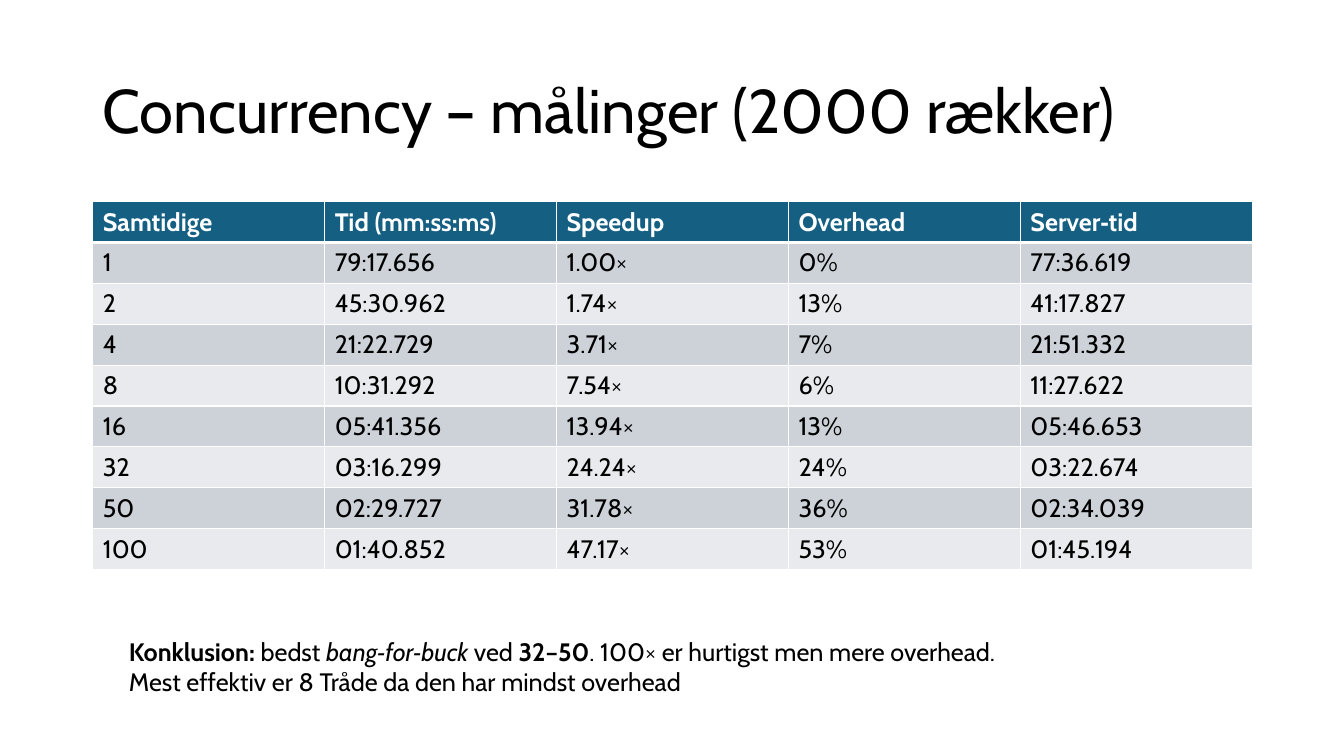
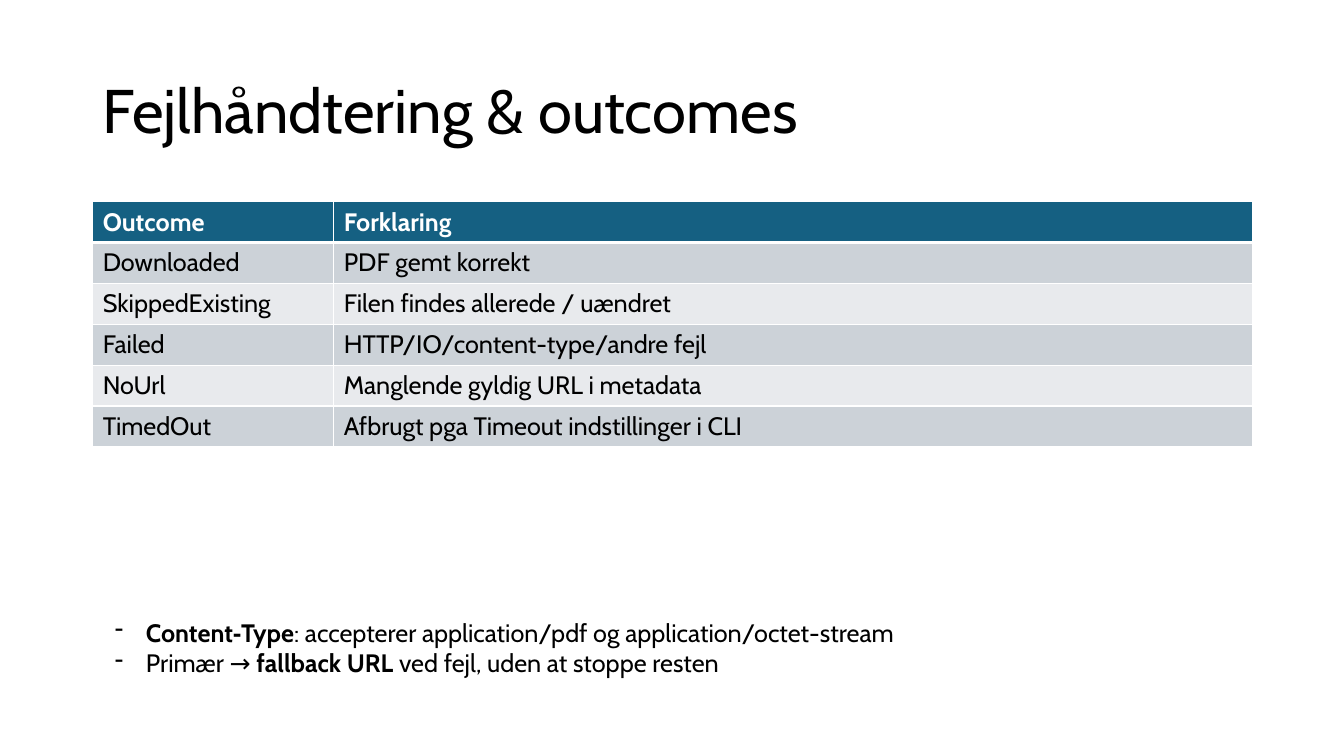
import pptx
import pptx.dml.color
import pptx.enum.text
import pptx.oxml.ns
import pptx.util
import lxml.etree

Inches = pptx.util.Inches
Pt = pptx.util.Pt
RGBColor = pptx.dml.color.RGBColor
qn = pptx.oxml.ns.qn

BLACK = RGBColor(0x00, 0x00, 0x00)
WHITE = RGBColor(0xFF, 0xFF, 0xFF)
HEADER_BLUE = RGBColor(0x15, 0x60, 0x82)
ROW_FILLS = (RGBColor(0xCC, 0xD2, 0xD8), RGBColor(0xE8, 0xEA, 0xED))

MEASUREMENTS = [
    ("Samtidige", "Tid (mm:ss:ms)", "Speedup", "Overhead", "Server‑tid"),
    ("1", "79:17.656", "1.00×", "0%", "77:36.619"),
    ("2", "45:30.962", "1.74×", "13%", "41:17.827"),
    ("4", "21:22.729", "3.71×", "7%", "21:51.332"),
    ("8", "10:31.292", "7.54×", "6%", "11:27.622"),
    ("16", "05:41.356", "13.94×", "13%", "05:46.653"),
    ("32", "03:16.299", "24.24×", "24%", "03:22.674"),
    ("50", "02:29.727", "31.78×", "36%", "02:34.039"),
    ("100", "01:40.852", "47.17×", "53%", "01:45.194"),
]
CONCLUSION = [
    [
        ("Konklusion: ", "bold"),
        ("bedst ", ""),
        ("bang‑for‑buck ", "italic"),
        ("ved ", ""),
        ("32–50", "bold"),
        (". 100× er hurtigst men mere overhead.", ""),
    ],
    [("Mest effektiv er 8 Tråde da den har mindst overhead", "")],
]
OUTCOMES = [
    ("Outcome", "Forklaring"),
    ("Downloaded", "PDF gemt korrekt"),
    ("SkippedExisting", "Filen findes allerede / uændret"),
    ("Failed", "HTTP/IO/content-type/andre fejl"),
    ("NoUrl", "Manglende gyldig URL i metadata"),
    ("TimedOut", "Afbrugt pga Timeout indstillinger i CLI"),
]
ERROR_NOTES = [
    [
        ("Content‑Type", "bold"),
        (": accepterer application/pdf og application/octet-stream", ""),
    ],
    [
        ("Primær → ", ""),
        ("fallback URL", "bold"),
        (" ved fejl, uden at stoppe resten", ""),
    ],
]


class Deck:
    font = "Cabin"
    title_size = Pt(44)
    body_size = Pt(18)
    left = Inches(0.92)
    width = Inches(11.5)
    table_top = Inches(2)
    row_height = Inches(3.65 / 9)

    def __init__(self):
        self.presentation = pptx.Presentation()
        self.presentation.slide_width = Inches(13.33)
        self.presentation.slide_height = Inches(7.5)
        self.slide = None

    def add_slide(self, title):
        layout = self.presentation.slide_layouts[6]
        self.slide = self.presentation.slides.add_slide(layout)
        frame = self.add_text_frame(self.left, Inches(0.4), self.width, Inches(1.45))
        frame.vertical_anchor = pptx.enum.text.MSO_ANCHOR.MIDDLE
        frame.text = title
        paragraph = frame.paragraphs[0]
        paragraph.line_spacing = 0.9
        self.format_run(paragraph.runs[0], self.title_size)

    def add_text_frame(self, left, top, width, height):
        frame = self.slide.shapes.add_textbox(left, top, width, height).text_frame
        frame.word_wrap = True
        return frame

    def format_run(self, run, size, color=BLACK, style=""):
        run.font.name = self.font
        run.font.size = size
        run.font.color.rgb = color
        run.font.bold = style == "bold"
        run.font.italic = style == "italic"

    def add_table(self, rows, column_widths):
        table = self.slide.shapes.add_table(
            len(rows), len(column_widths), self.left, self.table_top,
            self.width, self.row_height * len(rows),
        ).table
        for column, width in zip(table.columns, column_widths):
            column.width = Inches(width)
        for row_index, row in enumerate(rows):
            for column_index, text in enumerate(row):
                self.fill_cell(table.cell(row_index, column_index), text, row_index)

    def fill_cell(self, cell, text, row_index):
        is_header = row_index == 0
        self.add_borders(
            cell,
            top=3 if row_index == 1 else 1,
            bottom=3 if is_header else 1,
        )
        cell.fill.solid()
        cell.fill.fore_color.rgb = HEADER_BLUE if is_header else ROW_FILLS[(row_index - 1) % 2]
        cell.text_frame.text = text
        self.format_run(
            cell.text_frame.paragraphs[0].runs[0],
            self.body_size,
            WHITE if is_header else BLACK,
            "bold" if is_header else "",
        )

    def add_borders(self, cell, top, bottom):
        properties = cell._tc.get_or_add_tcPr()
        for side, points in (("L", 1), ("R", 1), ("T", top), ("B", bottom)):
            line = lxml.etree.SubElement(properties, qn(f"a:ln{side}"), w=str(Pt(points)))
            fill = lxml.etree.SubElement(line, qn("a:solidFill"))
            lxml.etree.SubElement(fill, qn("a:srgbClr"), val=str(WHITE))

    def add_notes(self, left, top, width, lines, bullet=None):
        frame = self.add_text_frame(Inches(left), Inches(top), Inches(width), Inches(0.71))
        for index, line in enumerate(lines):
            paragraph = frame.add_paragraph() if index else frame.paragraphs[0]
            for text, style in line:
                run = paragraph.add_run()
                run.text = text
                self.format_run(run, self.body_size, style=style)
            if bullet:
                self.add_bullet(paragraph, bullet)

    def add_bullet(self, paragraph, character):
        indent = Inches(0.31)
        properties = paragraph._p.get_or_add_pPr()
        properties.set("marL", str(indent))
        properties.set("indent", str(-indent))
        lxml.etree.SubElement(properties, qn("a:buChar"), char=character)


def main():
    deck = Deck()

    deck.add_slide("Concurrency – målinger (2000 rækker)")
    deck.add_table(MEASUREMENTS, [2.3] * 5)
    deck.add_notes(1.18, 6.26, 9.2, CONCLUSION)

    deck.add_slide("Fejlhåndtering & outcomes")
    deck.add_table(OUTCOMES, [2.39, 9.11])
    deck.add_notes(1.04, 6.07, 8.37, ERROR_NOTES, bullet="-")

    deck.presentation.save("out.pptx")


if __name__ == "__main__":
    main()
